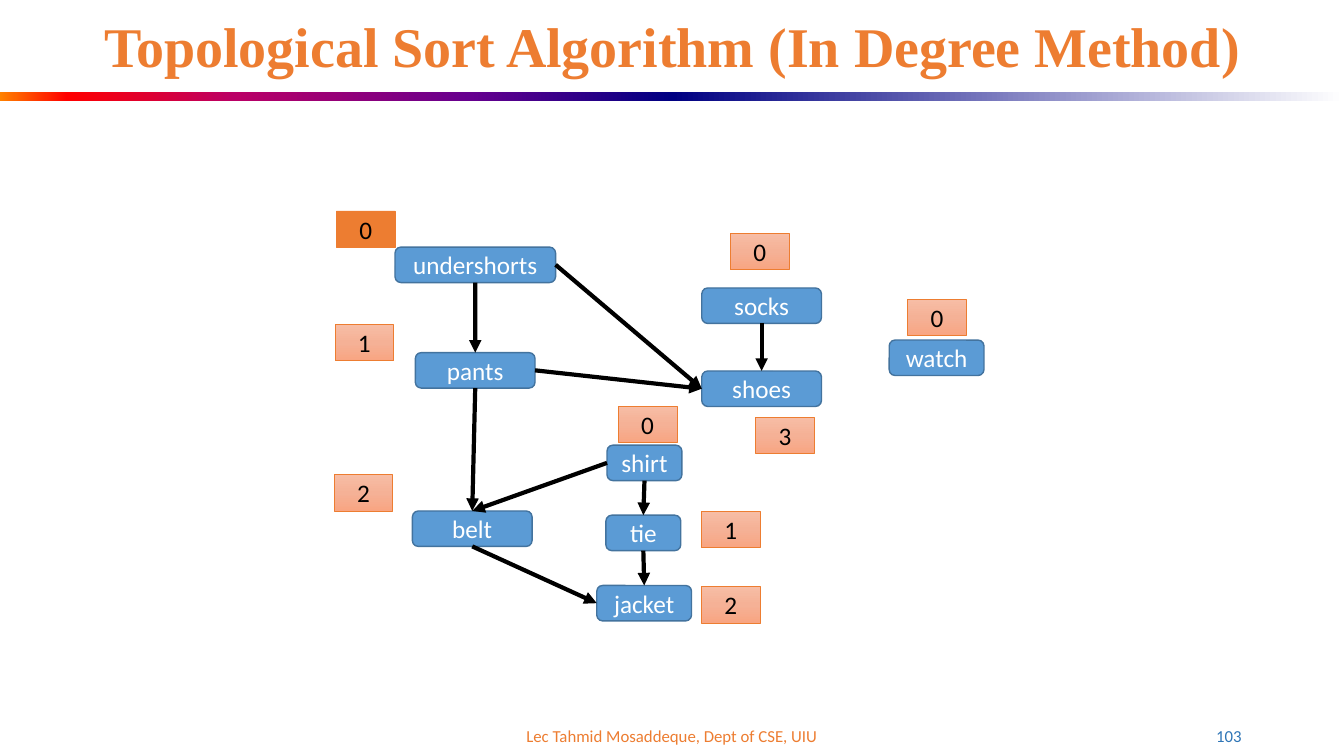
from lxml import etree
from pptx import Presentation
from pptx import util as u
from pptx.dml import color as colors
from pptx.enum import shapes, text
from pptx.oxml import ns

ORANGE = "ED7D31"
PEACH = [(0, "F7BDA5"), (50, "F5B196"), (100, "F8A582")]
FLAME = [(0, "FF8200"), (10, "FF0000"), (35, "BA0066"), (70, "66008F"), (100, "000082")]
FADE = [(0, "000082"), (100, "FFFFFF")]

NODES = {
    "undershorts": (282.2, 176.5, 114.7),
    "pants": (296.7, 251.9, 85.5),
    "belt": (294.6, 365, 85.5),
    "shoes": (501.3, 265, 85.5),
    "socks": (501.3, 205.7, 85.5),
    "shirt": (433.6, 318, 53.5),
    "tie": (432.8, 368, 53.5),
    "jacket": (426.3, 418.2, 67.7),
    "watch": (635.2, 242.9, 67.7),
}
TOP, LEFT, BOTTOM, RIGHT = range(4)
EDGES = [
    ("undershorts", BOTTOM, "pants", TOP),
    ("pants", BOTTOM, "belt", TOP),
    ("undershorts", RIGHT, "shoes", LEFT),
    ("pants", RIGHT, "shoes", LEFT),
    ("socks", BOTTOM, "shoes", TOP),
    ("shirt", LEFT, "belt", TOP),
    ("shirt", BOTTOM, "tie", TOP),
    ("tie", BOTTOM, "jacket", TOP),
    ("belt", BOTTOM, "jacket", LEFT),
]
DEGREES = [
    ("0", 240.3, 150.7, ORANGE),
    ("1", 239.3, 231.8, PEACH),
    ("2", 238.6, 339, PEACH),
    ("0", 521.7, 166.7, PEACH),
    ("3", 539.7, 298.2, PEACH),
    ("0", 441.6, 290.1, PEACH),
    ("0", 648.4, 213.9, PEACH),
    ("1", 501, 365.3, PEACH),
    ("2", 501, 419, PEACH),
]


def rgb(value):
    return colors.RGBColor.from_string(value)


class Diagram:
    font = "Calibri"
    size = 18

    def __init__(self, slide):
        self.slide = slide

    def set_text(self, shape, words, color, size=None, font=None, bold=False,
                 align=text.PP_ALIGN.CENTER, spacing=None):
        frame = shape.text_frame
        frame.text = words
        frame.word_wrap = True
        frame.vertical_anchor = text.MSO_ANCHOR.MIDDLE
        paragraph = frame.paragraphs[0]
        paragraph.alignment = align
        paragraph.line_spacing = spacing
        style = paragraph.runs[0].font
        style.name = font or self.font
        style.size = u.Pt(size or self.size)
        style.bold = bold
        style.color.rgb = rgb(color)

    def label(self, box, words, color, **style):
        shape = self.slide.shapes.add_textbox(*map(u.Pt, box))
        self.set_text(shape, words, color, **style)

    def gradient(self, shape, stops, angle):
        shape.fill.gradient()
        shape.fill.gradient_angle = angle
        stop_list = shape.element.spPr.find(".//" + ns.qn("a:gsLst"))
        stop_list.clear()
        for position, color in stops:
            stop = etree.SubElement(stop_list, ns.qn("a:gs"), pos=str(position * 1000))
            etree.SubElement(stop, ns.qn("a:srgbClr"), val=color)

    def box(self, kind, box, fill, line=None, width=1, angle=0):
        shape = self.slide.shapes.add_shape(kind, *map(u.Pt, box))
        shape.shadow.inherit = False
        if isinstance(fill, str):
            shape.fill.solid()
            shape.fill.fore_color.rgb = rgb(fill)
        else:
            self.gradient(shape, fill, angle)
        if line:
            shape.line.color.rgb = rgb(line)
            shape.line.width = u.Pt(width)
        else:
            shape.line.fill.background()
        return shape

    def node(self, name, left, top, width):
        shape = self.box(shapes.MSO_SHAPE.ROUNDED_RECTANGLE, (left, top, width, 25.3),
                         "5B9BD5", "43739E")
        self.set_text(shape, name, "FFFFFF")
        return shape

    def degree(self, value, left, top, fill):
        shape = self.box(shapes.MSO_SHAPE.RECTANGLE, (left, top, 42, 26),
                         fill, ORANGE, 0.5, 270)
        self.set_text(shape, value, "000000")

    def arrow(self, start, start_side, end, end_side):
        connector = self.slide.shapes.add_connector(shapes.MSO_CONNECTOR.STRAIGHT, 0, 0, 0, 0)
        connector.begin_connect(start, start_side)
        connector.end_connect(end, end_side)
        connector.line.color.rgb = rgb("000000")
        connector.line.width = u.Pt(3)
        properties = connector.element.spPr
        etree.SubElement(properties.find(ns.qn("a:ln")), ns.qn("a:tailEnd"), type="triangle")
        etree.SubElement(properties, ns.qn("a:effectLst"))


def main():
    presentation = Presentation()
    presentation.slide_width = u.Pt(960)
    presentation.slide_height = u.Pt(540)
    diagram = Diagram(presentation.slides.add_slide(presentation.slide_layouts[6]))

    for column, stops in enumerate((FLAME, FADE)):
        diagram.box(shapes.MSO_SHAPE.RECTANGLE, (480 * column, 66, 480, 6), stops)
    diagram.label((318, 511.5, 324, 28.5), "Lec Tahmid Mosaddeque, Dept of CSE, UIU",
                  ORANGE, size=12)
    diagram.label((678, 511.5, 216, 28.5), "103", "2E75B6", size=12,
                  align=text.PP_ALIGN.RIGHT)
    diagram.label((66, 11.5, 828, 47.5), "Topological Sort Algorithm (In Degree Method)",
                  ORANGE, size=40, font="Times New Roman", bold=True, spacing=0.9)

    nodes = {name: diagram.node(name, *place) for name, place in NODES.items()}
    for start, start_side, end, end_side in EDGES:
        diagram.arrow(nodes[start], start_side, nodes[end], end_side)
    for degree in DEGREES:
        diagram.degree(*degree)

    presentation.save("out.pptx")


if __name__ == "__main__":
    main()
